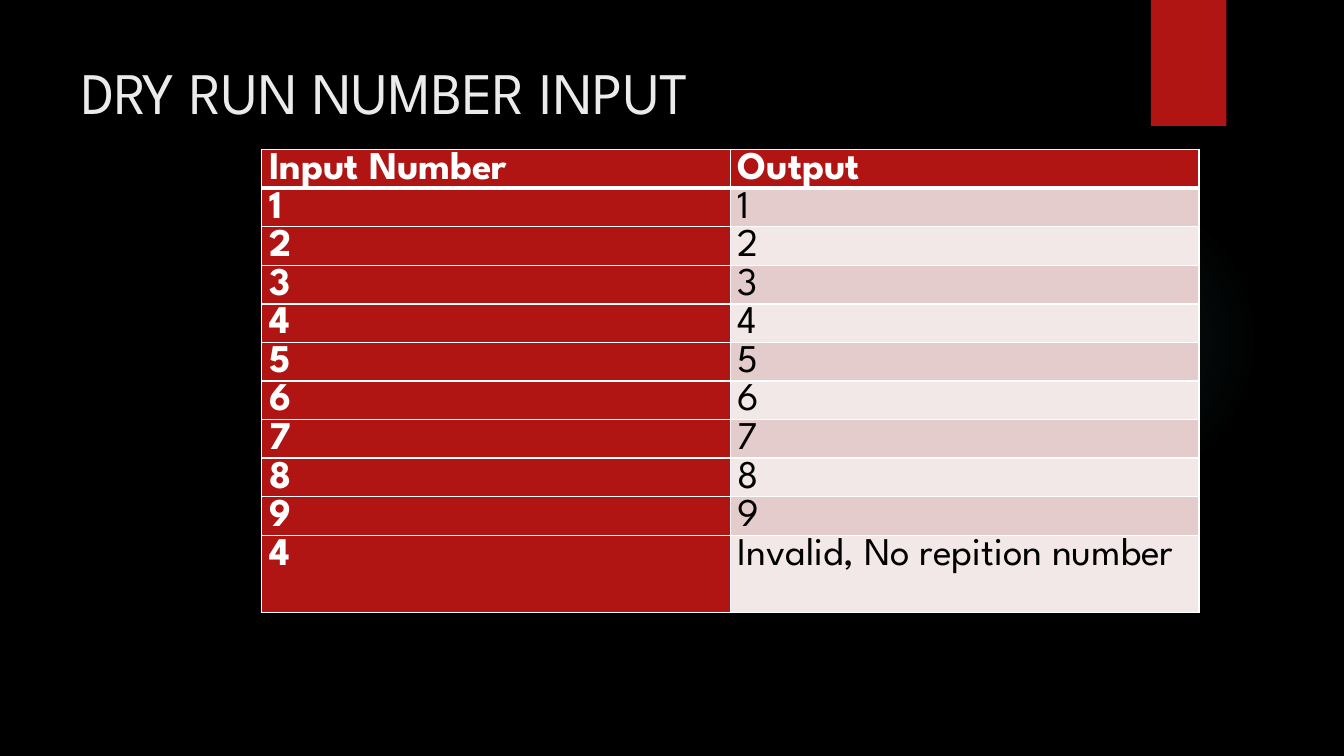
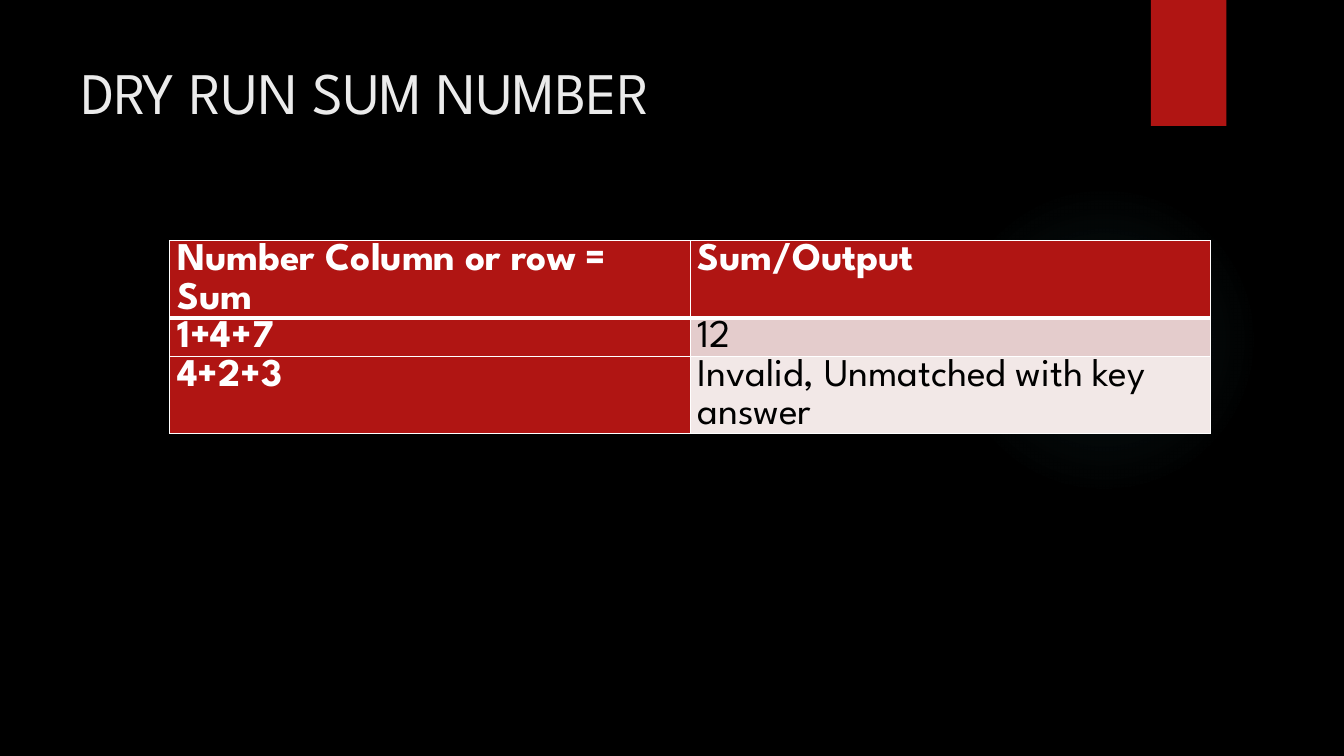
from dataclasses import dataclass

from pptx import Presentation
from pptx.dml.color import RGBColor
from pptx.enum.shapes import MSO_SHAPE as Shape
from pptx.enum.text import MSO_ANCHOR as Anchor
from pptx.oxml import parse_xml
from pptx.oxml.ns import nsdecls
from pptx.util import Pt


@dataclass(frozen=True)
class Theme:
    font: str = "League Spartan"
    title_size: int = 42
    table_size: int = 28
    table_line: float = 27.5
    background: str = "000000"
    accent: str = "B01513"
    glow: str = "50B9C1"
    title: str = "EBEBEB"
    light: str = "FFFFFF"
    dark: str = "000000"
    bands: tuple = ("E4CCCC", "F2E8E7")
    thin: int = 1
    thick: int = 3


THEME = Theme()

# Boxes are left, top, width, height in points
GLOW_BOX = (677.5, 131.75, 221.75, 221.75)
RIBBON_BOX = (822, 0, 54, 90)
TITLE_BOX = (51, 36, 741, 110)
GLOW_STOPS = ((0, 7), (36, 6), (69, 0))  # position and opacity in percent

NUMBER_INPUT_ROWS = [
    ("Input Number", "Output"),
    *((str(n), str(n)) for n in range(1, 10)),
    ("4", "Invalid, No repition number"),
]
SUM_ROWS = [
    ("Number Column or row = Sum", "Sum/Output"),
    ("1+4+7", "12"),
    ("4+2+3", "Invalid, Unmatched with key answer"),
]


def points(box):
    return [Pt(length) for length in box]


def apply_format(target, values):
    for attribute, value in values.items():
        setattr(target, attribute, value)


def write(paragraph, text, size, color, bold=False):
    run = paragraph.add_run()
    run.text = text
    apply_format(run.font, {"name": THEME.font, "size": Pt(size), "bold": bold})
    run.font.color.rgb = RGBColor.from_string(color)


def add_plain_shape(slide, kind, box):
    shape = slide.shapes.add_shape(kind, *points(box))
    shape.shadow.inherit = False
    shape.line.fill.background()
    return shape


def add_backdrop(slide):
    slide.background.fill.solid()
    slide.background.fill.fore_color.rgb = RGBColor.from_string(THEME.background)

    # Faint round glow
    glow = add_plain_shape(slide, Shape.OVAL, GLOW_BOX)
    glow.fill.background()
    stops = "".join(
        f'<a:gs pos="{position * 1000}"><a:srgbClr val="{THEME.glow}">'
        f'<a:alpha val="{opacity * 1000}"/></a:srgbClr></a:gs>'
        for position, opacity in GLOW_STOPS
    )
    gradient = parse_xml(
        f'<a:gradFill {nsdecls("a")} rotWithShape="1"><a:gsLst>{stops}</a:gsLst>'
        '<a:path path="circle">'
        '<a:fillToRect l="50000" t="50000" r="50000" b="50000"/>'
        "</a:path></a:gradFill>"
    )
    properties = glow.element.spPr
    properties.replace(properties.find("{*}noFill"), gradient)

    # Ribbon at the top edge
    ribbon = add_plain_shape(slide, Shape.RECTANGLE, RIBBON_BOX)
    ribbon.fill.solid()
    ribbon.fill.fore_color.rgb = RGBColor.from_string(THEME.accent)


def add_title(slide, text, box):
    frame = slide.shapes.add_textbox(*points(box)).text_frame
    apply_format(frame, {"word_wrap": True, "vertical_anchor": Anchor.TOP})
    write(frame.paragraphs[0], text, THEME.title_size, THEME.title)


def add_borders(cell, top, bottom):
    widths = {"L": THEME.thin, "R": THEME.thin, "T": top, "B": bottom}
    properties = cell._tc.get_or_add_tcPr()
    for side, width in widths.items():
        properties.append(parse_xml(
            f'<a:ln{side} {nsdecls("a")} w="{Pt(width)}"><a:solidFill>'
            f'<a:srgbClr val="{THEME.light}"/></a:solidFill></a:ln{side}>'
        ))


def fill_cell(cell, text, row, column):
    is_heading = row == 0 or column == 0
    add_borders(
        cell,
        top=THEME.thick if row == 1 else THEME.thin,
        bottom=THEME.thick if row == 0 else THEME.thin,
    )
    apply_format(cell, {
        "margin_left": Pt(5.4),
        "margin_right": Pt(5.4),
        "margin_top": 0,
        "margin_bottom": 0,
    })
    cell.fill.solid()
    cell.fill.fore_color.rgb = RGBColor.from_string(
        THEME.accent if is_heading else THEME.bands[(row - 1) % 2]
    )
    paragraph = cell.text_frame.paragraphs[0]
    paragraph.line_spacing = Pt(THEME.table_line)
    color = THEME.light if is_heading else THEME.dark
    write(paragraph, text, THEME.table_size, color, bold=is_heading)


def add_run_table(slide, rows, left, top, width, double_rows):
    heights = [
        THEME.table_line * (2 if row in double_rows else 1)
        for row in range(len(rows))
    ]
    box = (left, top, width, sum(heights))
    table = slide.shapes.add_table(len(rows), len(rows[0]), *points(box)).table
    for row, (texts, height) in enumerate(zip(rows, heights)):
        table.rows[row].height = Pt(height)
        for column, text in enumerate(texts):
            fill_cell(table.cell(row, column), text, row, column)


def add_dry_run_slide(deck, title, rows, **placement):
    slide = deck.slides.add_slide(deck.slide_layouts[6])
    add_backdrop(slide)
    add_title(slide, title, TITLE_BOX)
    add_run_table(slide, rows, **placement)


def main():
    deck = Presentation()
    apply_format(deck, {"slide_width": Pt(960), "slide_height": Pt(540)})
    add_dry_run_slide(deck, "DRY RUN NUMBER INPUT", NUMBER_INPUT_ROWS,
                      left=187, top=107, width=669.5, double_rows={10})
    add_dry_run_slide(deck, "DRY RUN SUM NUMBER", SUM_ROWS,
                      left=121.25, top=172, width=743.5, double_rows={0, 2})
    deck.save("out.pptx")


if __name__ == "__main__":
    main()
